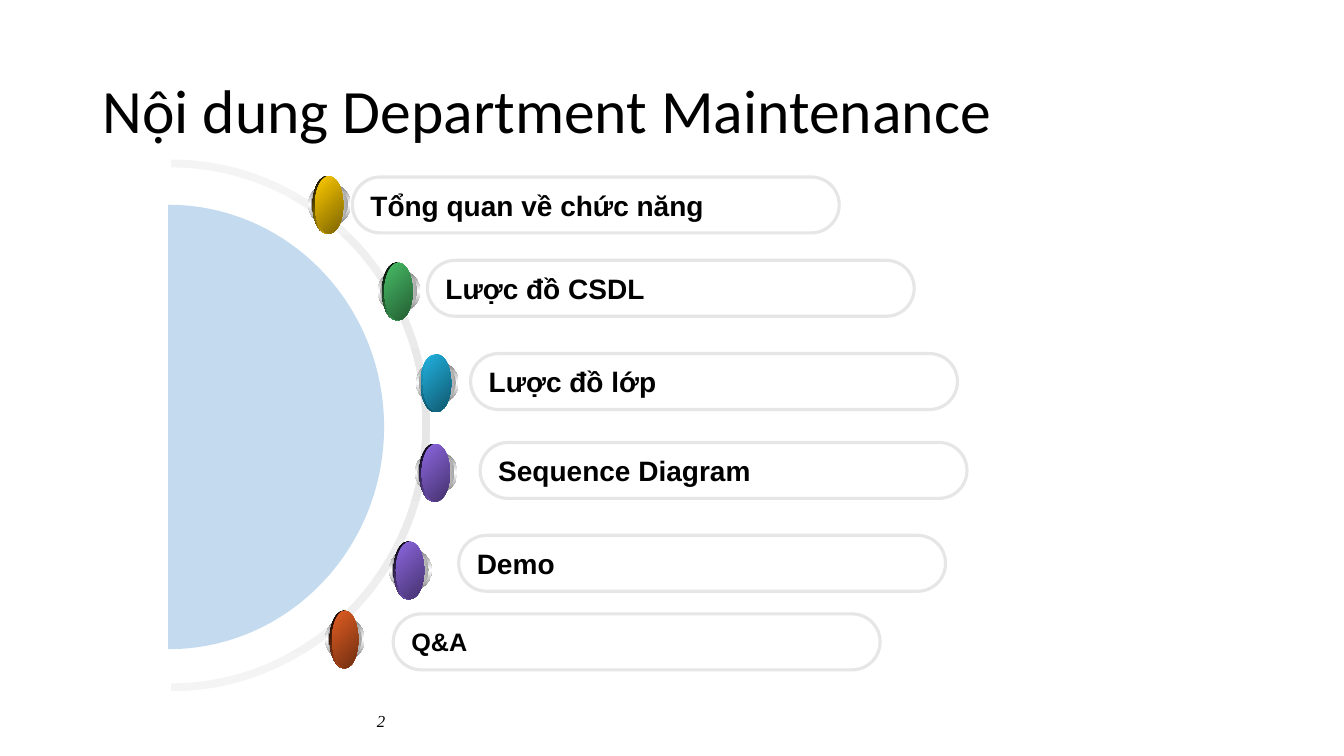
from copy import deepcopy
from typing import NamedTuple

from pptx import Presentation
from pptx.dml.color import RGBColor
from pptx.enum.shapes import MSO_SHAPE as Preset
from pptx.enum.text import MSO_ANCHOR as Anchor, PP_ALIGN as Align
from pptx.oxml.ns import qn
from pptx.util import Cm, Pt

PILL_WIDTH, PILL_HEIGHT = 12.27, 1.41
BEAD_SIZE = 1.07
CURVE_FACTOR = 0.5523  # Bezier handle length for a quarter ellipse


class Bead(NamedTuple):
    left: float
    top: float
    light: str
    dark: str
    rim: tuple[str, ...] = ()
    rim_angle: int = 45
    width: float = BEAD_SIZE
    face_width: float = 0.71


class Topic(NamedTuple):
    text: str
    left: float
    top: float
    bead: Bead
    size: int = 20


YELLOW, GREEN, BLUE = "FFCC00", "48BE67", "21B3E1"
PURPLE, ORANGE, BLACK = "8D67E1", "E35E23", "000000"

TOPICS = [
    Topic("Tổng quan về chức năng", 8.88, 4.46,
          Bead(7.77, 4.62, YELLOW, "7C6300")),
    Topic("Lược đồ CSDL", 10.77, 6.56, Bead(9.52, 6.8, GREEN, "235C32")),
    Topic("Lược đồ lớp", 11.86, 8.91,
          Bead(10.49, 9.11, BLUE, "10576D", (BLUE, "0F5368"), 90)),
    Topic("Sequence Diagram", 12.1, 11.15,
          Bead(10.46, 11.37, PURPLE, "45326D")),
    Topic("Demo", 11.56, 13.49, Bead(9.81, 13.83, PURPLE, "45326D")),
    Topic("Q&A", 9.91, 15.47,
          Bead(8.2, 15.57, ORANGE, "6E2E11", width=0.99, face_width=0.66), 18),
]


def color(value: str) -> RGBColor:
    return RGBColor.from_string(value)


def write(shape, text: str, *, font: str, size: int, bold=False, italic=False,
          align=Align.LEFT, wrap=True, spacing=1.0) -> None:
    frame = shape.text_frame
    frame.word_wrap = wrap
    frame.vertical_anchor = Anchor.MIDDLE
    paragraph = frame.paragraphs[0]
    paragraph.text = text
    paragraph.alignment = align
    paragraph.line_spacing = spacing
    paragraph.font.name = font
    paragraph.font.size = Pt(size)
    paragraph.font.bold = bold
    paragraph.font.italic = italic
    paragraph.font.color.rgb = color(BLACK)


def fill_gradient(shape, colors: tuple[str, ...], angle: int) -> None:
    """Spread the colours evenly; the angle runs clockwise."""
    shape.fill.gradient()
    shape.fill.gradient_angle = (360 - angle) % 360
    stop_list = next(shape._element.spPr.iter(qn("a:gsLst")))
    while len(stop_list) < len(colors):
        stop_list.append(deepcopy(stop_list[0]))
    for index, stop in enumerate(shape.fill.gradient_stops):
        stop.position = index / (len(colors) - 1)
        stop.color.rgb = color(colors[index])


def half_ellipse(x: float, y: float, radius_x: float, radius_y: float) -> list:
    """Start, handles and ends of two curves, from top to bottom."""
    near, far = CURVE_FACTOR * radius_x, CURVE_FACTOR * radius_y
    offsets = [(0, -radius_y), (near, -radius_y), (radius_x, -far),
               (radius_x, 0),
               (radius_x, far), (near, radius_y), (0, radius_y)]
    return [(Cm(x + dx), Cm(y + dy)) for dx, dy in offsets]


def add_outline(slide, *halves: list):
    """Join half ellipses by straight lines into one closed outline."""
    points = [point for half in halves for point in half]
    builder = slide.shapes.build_freeform(*points[0])
    builder.add_line_segments(points[1:], close=True)
    shape = builder.convert_to_shape()
    shape.shadow.inherit = False
    shape.line.fill.background()

    # Turn each three steps of a half ellipse into one curve
    steps = list(shape._element.spPr.iter(qn("a:lnTo")))
    for first in range(0, 7 * len(halves), 7):
        for begin in (first, first + 3):
            curve = steps[begin].makeelement(qn("a:cubicBezTo"))
            steps[begin].addprevious(curve)
            for step in steps[begin:begin + 3]:
                curve.append(step[0])
                step.getparent().remove(step)
    return shape


def add_pill(slide, topic: Topic) -> None:
    pill = slide.shapes.add_shape(
        Preset.ROUNDED_RECTANGLE, Cm(topic.left), Cm(topic.top),
        Cm(PILL_WIDTH), Cm(PILL_HEIGHT))
    pill.adjustments[0] = 0.5
    pill.shadow.inherit = False
    pill.fill.background()
    pill.line.color.rgb = color("E7E6E6")
    pill.line.width = Pt(2.25)
    write(pill, topic.text, font="Arial", size=topic.size, bold=True, wrap=False)


def add_bead(slide, bead: Bead) -> None:
    group = slide.shapes.add_group_shape()
    rim = bead.rim or (BLACK, bead.light)
    # Offset from the bead's corner, size, colours, angle
    layers = [
        (0, 0, bead.width, BEAD_SIZE, ("767676", "FFFFFF", "767676"), 90),
        (0.06, 0.06, bead.width - 0.13, 0.94, ("A2A2A2", "FFFFFF", "A2A2A2"), 0),
        (0.11, -0.18, 0.71, 1.45, rim, bead.rim_angle),
        (0.17, -0.18, bead.face_width, 1.45, (bead.light, bead.dark), 45),
    ]
    for x, y, width, height, colors, angle in layers:
        oval = group.shapes.add_shape(
            Preset.OVAL, Cm(bead.left + x), Cm(bead.top + y),
            Cm(width), Cm(height))
        oval.shadow.inherit = False
        oval.line.fill.background()
        fill_gradient(oval, colors, angle)


def main() -> None:
    presentation = Presentation()
    presentation.slide_width, presentation.slide_height = Cm(33.87), Cm(19.05)
    slide = presentation.slides.add_slide(presentation.slide_layouts[6])

    # Slide number and title
    number = slide.shapes.add_textbox(Cm(2.34), Cm(17.65), Cm(7.62), Cm(1.02))
    write(number, "2", font="Times New Roman", size=12, italic=True,
          align=Align.RIGHT)
    title = slide.shapes.add_textbox(Cm(2.34), Cm(1.02), Cm(29.21), Cm(3.68))
    write(title, "Nội dung Department Maintenance", font="Calibri", size=44,
          spacing=0.9)

    # Half ring and half disc
    ring = add_outline(slide, half_ellipse(4.3, 10.72, 6.53, 6.7),
                       half_ellipse(4.3, 10.72, 6.35, 6.5)[::-1])
    fill_gradient(ring, ("F4F4F4", "E7E6E6", "F4F4F4"), 90)
    disc = add_outline(slide, half_ellipse(4.24, 10.76, 5.44, 5.6))
    disc.fill.solid()
    disc.fill.fore_color.rgb = color("5B9BD5")
    tint = next(disc._element.spPr.iter(qn("a:srgbClr")))
    tint.append(tint.makeelement(qn("a:alpha"), {"val": "36000"}))

    # Topics along the ring
    for topic in TOPICS:
        add_pill(slide, topic)
        add_bead(slide, topic.bead)

    presentation.save("out.pptx")


if __name__ == "__main__":
    main()
